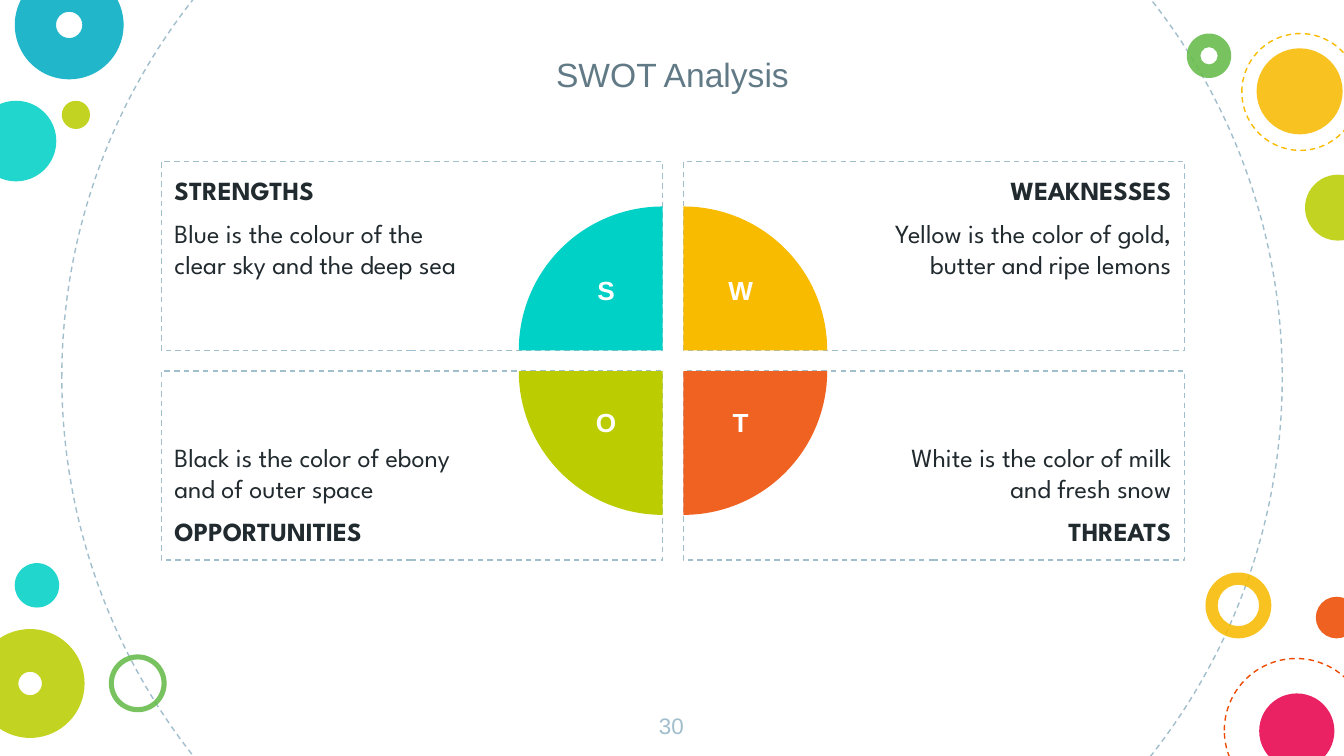
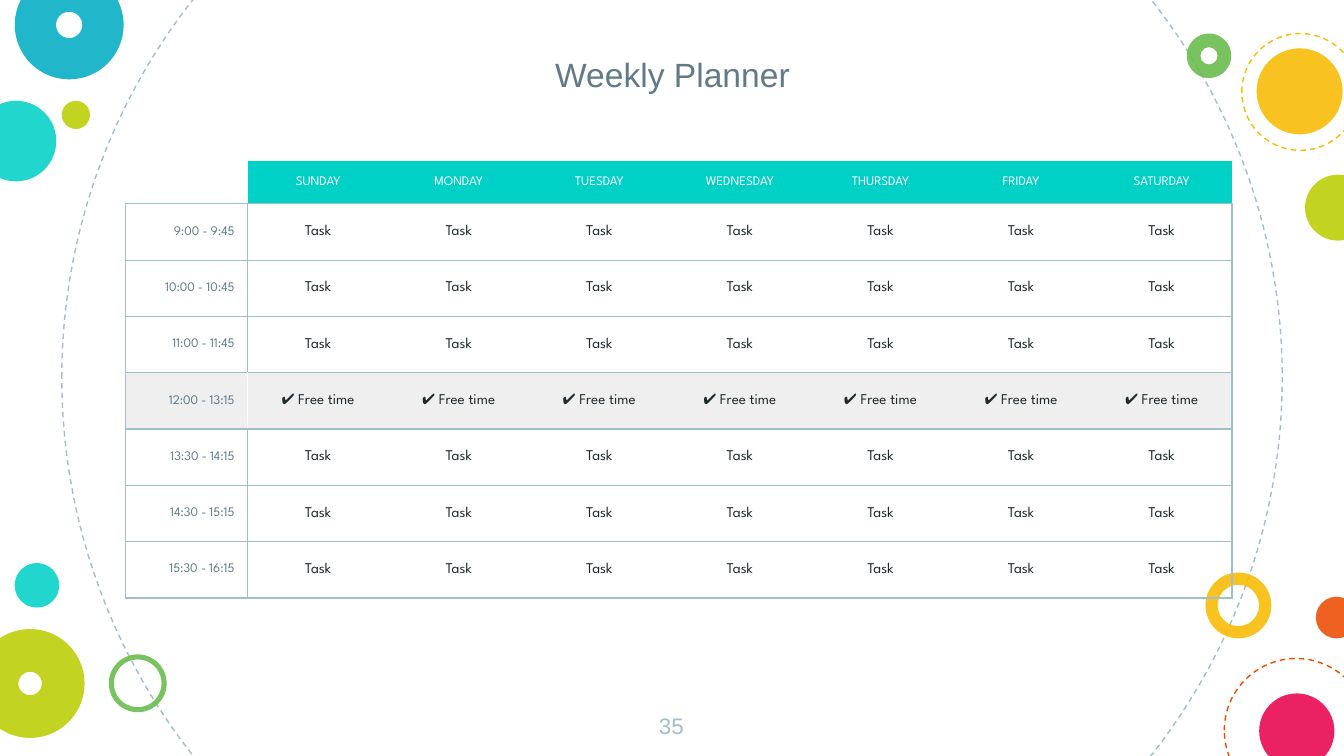
from lxml import etree
from pptx import Presentation
from pptx.dml.color import RGBColor
from pptx.enum import dml, shapes, text
from pptx.oxml import ns
from pptx.util import Pt

TEAL, YELLOW, LIME, ORANGE = "00D1C6", "F8BB00", "BBCD00", "EF6222"
GREEN, BLUE, RED, PINK = "65BB48", "00ACC3", "ED4A00", "E8004C"
INK, SLATE, MIST, PALE, WHITE = "212A2E", "617A86", "A1BECC", "EFEFEF", "FFFFFF"
SANS, SPARTAN = "Arial", "League Spartan"
LEFT, CENTER, RIGHT = text.PP_ALIGN.LEFT, text.PP_ALIGN.CENTER, text.PP_ALIGN.RIGHT
TOP, MIDDLE, BOTTOM = text.MSO_ANCHOR.TOP, text.MSO_ANCHOR.MIDDLE, text.MSO_ANCHOR.BOTTOM
SHAPE = shapes.MSO_SHAPE
INSET = 7.2

# left, top, diameter, colour, ring thickness (0 disc, None dashed outline)
BUBBLES = [
    (33.1, -124.6, 653.8, MIST, None),
    (-13, 54, 43.2, TEAL, 0),
    (645.8, 306.7, 35.3, YELLOW, 0.186),
    (7.9, -15.8, 58.3, BLUE, 0.379),
    (33.1, 54, 15.1, LIME, 0),
    (655.9, 352.8, 77, RED, None),
    (58.3, 350.6, 31, GREEN, 0.088),
    (704.9, 319.7, 22.3, RED, 0),
    (-13, 337, 58.3, LIME, 0.392),
    (674.6, 371.5, 40.3, PINK, 0),
    (635.8, 18, 23.8, GREEN, 0.306),
    (673.2, 25.9, 46.1, YELLOW, 0),
    (699.1, 93.6, 35.3, LIME, 0),
    (665.3, 18, 62.6, YELLOW, None),
    (7.9, 301.7, 23.8, TEAL, 0),
]


def rgb(value):
    """Turn a hex string into a colour."""
    return RGBColor.from_string(value)


class Deck:
    """Holds the presentation, its style and the current slide."""

    def __init__(self):
        """Start an empty widescreen presentation."""
        self.presentation = Presentation()
        self.presentation.slide_width = Pt(720)
        self.presentation.slide_height = Pt(405)
        self.slide = None

    def new_slide(self, title, number):
        """Add a slide with the bubbles, title and page number."""
        layout = self.presentation.slide_layouts[6]
        self.slide = self.presentation.slides.add_slide(layout)
        for left, top, size, colour, ring in BUBBLES:
            self.bubble(left, top, size, colour, ring)
        self.label((341.3, 374.4, 36.7, 31), number, 12, MIST)
        self.label((152.6, 7.2, 415.4, 50.4), title, 18, SLATE, anchor=BOTTOM)

    def shape(self, kind, box, fill=None, line=None):
        """Add a preset shape with a plain fill or a dashed outline."""
        shape = self.slide.shapes.add_shape(kind, *map(Pt, box))
        shape.shadow.inherit = False
        if fill:
            shape.fill.solid()
            shape.fill.fore_color.rgb = rgb(fill)
        else:
            shape.fill.background()
        if line:
            shape.line.color.rgb = rgb(line)
            shape.line.width = Pt(0.75)
            shape.line.dash_style = dml.MSO_LINE.DASH
        else:
            shape.line.fill.background()
        return shape

    def bubble(self, left, top, size, colour, ring):
        """Add a translucent disc or ring, or a dashed circle."""
        box = (left, top, size, size)
        if ring is None:
            self.shape(SHAPE.OVAL, box, line=colour)
            return
        shape = self.shape(SHAPE.DONUT if ring else SHAPE.OVAL, box, fill=colour)
        if ring:
            shape.adjustments[0] = ring
        fill_colour = shape.element.spPr.find(ns.qn("a:solidFill"))[0]
        etree.SubElement(fill_colour, ns.qn("a:alpha"), val="87000")

    def style(self, paragraph, words, size, colour, font=SANS, align=CENTER, bold=False):
        """Fill one paragraph and set its font."""
        paragraph.text = words
        paragraph.alignment = align
        paragraph.font.size = Pt(size)
        paragraph.font.name = font
        paragraph.font.bold = bold
        paragraph.font.color.rgb = rgb(colour)

    def frame(self, frame, anchor, left=INSET, right=INSET):
        """Set the wrapping, anchor and insets of a text frame."""
        frame.word_wrap = True
        frame.vertical_anchor = anchor
        frame.margin_left, frame.margin_right = Pt(left), Pt(right)
        frame.margin_top = frame.margin_bottom = Pt(INSET)

    def label(self, box, words, size, colour, bold=False, anchor=TOP):
        """Add a centred one-line text box."""
        shape = self.slide.shapes.add_textbox(*map(Pt, box))
        self.frame(shape.text_frame, anchor)
        self.style(shape.text_frame.paragraphs[0], words, size, colour, bold=bold)

    def panel(self, box, entries, anchor, on_left):
        """Add a dashed panel whose text keeps clear of the centre."""
        shape = self.shape(SHAPE.RECTANGLE, box, line=MIST)
        frame = shape.text_frame
        insets = (INSET, 108) if on_left else (108, INSET)
        self.frame(frame, anchor, *insets)
        for index, (words, bold) in enumerate(entries):
            paragraph = frame.add_paragraph() if index else frame.paragraphs[0]
            self.style(paragraph, words, 14, INK, SPARTAN, LEFT if on_left else RIGHT, bold)
            if index:
                paragraph.space_before = Pt(6)
        paragraph.space_after = Pt(6)

    def quarter(self, center_x, center_y, size, colour, rotation):
        """Add a quarter disc around a centre point."""
        box = (center_x - size / 2, center_y - size / 2, size, size)
        shape = self.shape(SHAPE.PIE, box, fill=colour)
        shape.adjustments[0], shape.adjustments[1] = 108, 162
        shape.rotation = rotation

    def table(self, left, top, widths, heights):
        """Add an unstyled table with the given columns and rows."""
        graphic = self.slide.shapes.add_table(
            len(heights), len(widths), Pt(left), Pt(top), Pt(sum(widths)), Pt(sum(heights)))
        table = graphic.table
        table.first_row = table.horz_banding = False
        for column, width in zip(table.columns, widths):
            column.width = Pt(width)
        for row, height in zip(table.rows, heights):
            row.height = Pt(height)
        return table

    def cell(self, cell, words, size, colour, align, fill, borders):
        """Write a cell; borders maps the sides L, R, T, B to colours."""
        cell.vertical_anchor = MIDDLE
        cell.margin_left = cell.margin_right = Pt(INSET)
        cell.margin_top = cell.margin_bottom = Pt(INSET if words else 0)
        self.style(cell.text_frame.paragraphs[0], words, size, colour, SPARTAN, align)
        properties = cell._tc.get_or_add_tcPr()
        for side in "LRTB":
            line = etree.SubElement(properties, ns.qn("a:ln" + side), w=str(Pt(0.75)))
            if side in borders:
                solid = etree.SubElement(line, ns.qn("a:solidFill"))
                etree.SubElement(solid, ns.qn("a:srgbClr"), val=borders[side])
            else:
                etree.SubElement(line, ns.qn("a:noFill"))
        if fill:
            cell.fill.solid()
            cell.fill.fore_color.rgb = rgb(fill)
        else:
            cell.fill.background()


def swot_slide(deck):
    """Build the four panels around a split disc."""
    deck.new_slide("SWOT Analysis", "30")
    lefts, tops, width, height = (86.4, 366.1), (86.4, 198.8), 268.6, 101.3
    quadrants = [
        (0, 0, "STRENGTHS", "Blue is the colour of the clear sky and the deep sea", TEAL, 0),
        (1, 0, "WEAKNESSES", "Yellow is the color of gold, butter and ripe lemons", YELLOW, 90),
        (0, 1, "OPPORTUNITIES", "Black is the color of ebony and of outer space", LIME, 270),
        (1, 1, "THREATS", "White is the color of milk and fresh snow", ORANGE, 180),
    ]
    for column, row, heading, body, colour, rotation in quadrants:
        left, top = lefts[column], tops[row]
        entries = [(heading, True), (body, False)]
        if row:
            entries.reverse()
        deck.panel((left, top, width, height), entries, BOTTOM if row else TOP, column == 0)
        center_x = left if column else left + width
        center_y = top if row else top + height
        deck.quarter(center_x, center_y, 154.1, colour, rotation)
        letter_box = ((306.7, 378.8)[column], (140.7, 211.4)[row], 36, 29)
        deck.label(letter_box, heading[0], 14, WHITE, bold=True, anchor=MIDDLE)


def planner_slide(deck):
    """Build the weekly timetable."""
    deck.new_slide("Weekly Planner", "35")
    days = ["SUNDAY", "MONDAY", "TUESDAY", "WEDNESDAY", "THURSDAY", "FRIDAY", "SATURDAY"]
    hours = ["9:00 - 9:45", "10:00 - 10:45", "11:00 - 11:45", "12:00 - 13:15",
             "13:30 - 14:15", "14:30 - 15:15", "15:30 - 16:15"]
    table = deck.table(67.1, 86.4, [65.7] + [75.33] * 7, [21.4] + [30.17] * 7)
    rules = {"T": MIST, "B": MIST}
    for column, day in enumerate([""] + days):
        deck.cell(table.cell(0, column), day, 7, WHITE, CENTER,
                  TEAL if day else None, {"B": MIST})
    for row, hour in enumerate(hours, 1):
        free = hour.startswith("12")
        fill, divider = (PALE, WHITE) if free else (None, MIST)
        deck.cell(table.cell(row, 0), hour, 7, SLATE, RIGHT, fill,
                  {**rules, "L": MIST, "R": divider})
        for column in range(1, len(days) + 1):
            borders = dict(rules)
            if column == 1:
                borders["L"] = divider
            if column == len(days):
                borders["R"] = MIST
            deck.cell(table.cell(row, column), "✔ Free time" if free else "Task",
                      8, INK, CENTER, fill, borders)


def main():
    """Build both slides and save them."""
    deck = Deck()
    swot_slide(deck)
    planner_slide(deck)
    deck.presentation.save("out.pptx")


if __name__ == "__main__":
    main()
